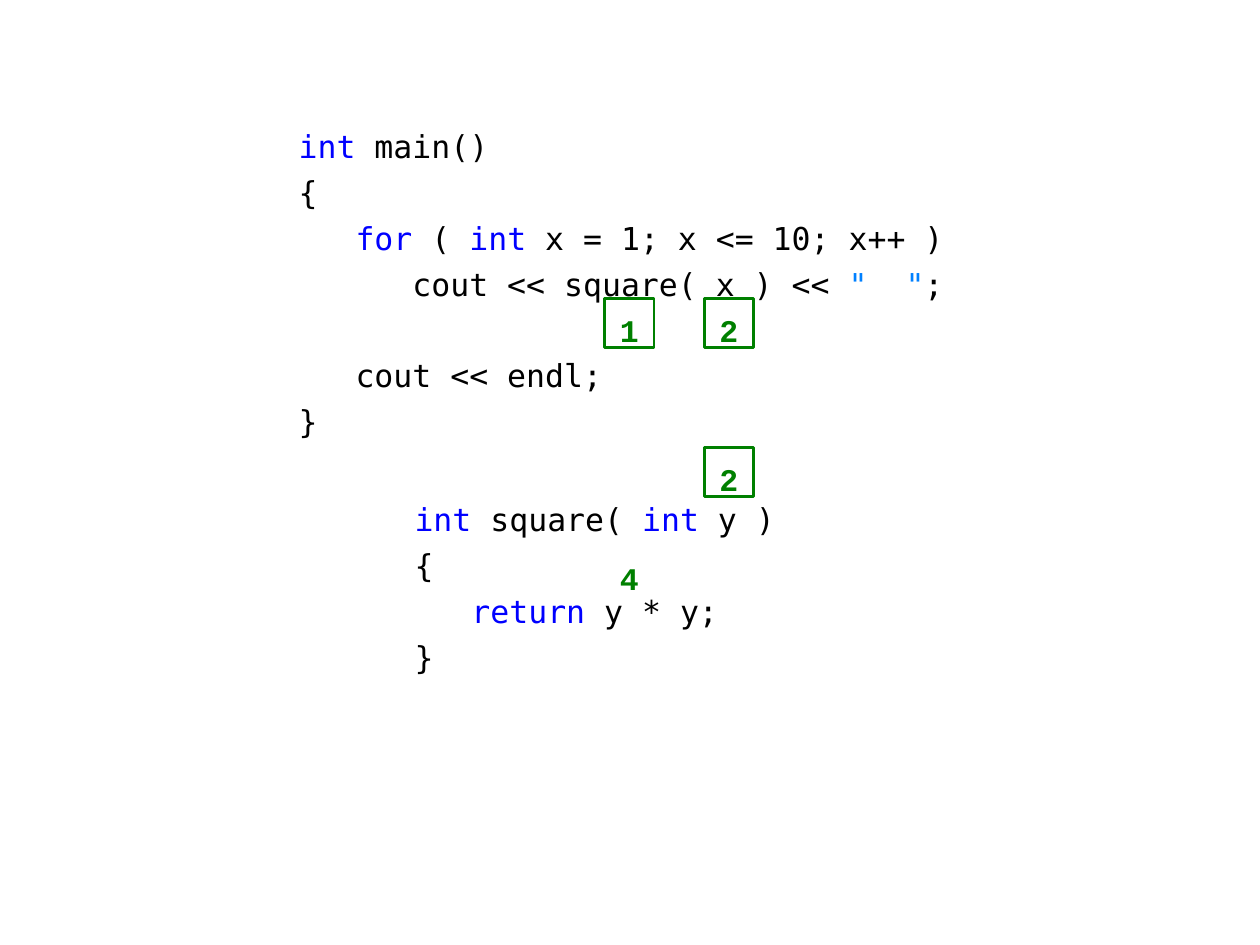
from pptx import Presentation
from pptx.dml.color import RGBColor
from pptx.enum.shapes import MSO_SHAPE
from pptx.enum.text import MSO_ANCHOR, MSO_AUTO_SIZE, PP_ALIGN
from pptx.oxml.ns import qn
from pptx.util import Inches, Pt

COLORS = {"plain": "000000", "keyword": "0000FF", "string": "0080FF", "step": "008000"}
CODE_FONT = {"name": "DejaVu Sans Mono", "size": Pt(18), "bold": False}
STEP_FONT = {"name": "Courier New", "size": Pt(18), "bold": True}
LINE_GAP, BLANK_LINE_GAP = 4.7, 30
STEP_SIZE = 0.39

MAIN_CODE = [
    (0, [("int", "keyword"), (" main()", "plain")]),
    (LINE_GAP, [("{", "plain")]),
    (LINE_GAP, [("   ", "plain"), ("for", "keyword"), (" ( ", "plain"),
                ("int", "keyword"), (" x = 1; x <= 10; x++ )", "plain")]),
    (LINE_GAP, [("      cout << square( x ) << ", "plain"),
                ('"  "', "string"), (";", "plain")]),
    (BLANK_LINE_GAP, [("   cout << endl;", "plain")]),
    (LINE_GAP, [("}", "plain")]),
]
SQUARE_CODE = [
    (0, [("int", "keyword"), (" square( ", "plain"),
         ("int", "keyword"), (" y )", "plain")]),
    (LINE_GAP, [("{", "plain")]),
    (LINE_GAP, [("   ", "plain"), ("return", "keyword"), (" y * y;", "plain")]),
    (LINE_GAP, [("}", "plain")]),
]
STEPS = [("4", 4.8, 4.34, False), ("1", 4.8, 2.37, True),
         ("2", 5.59, 2.37, True), ("2", 5.59, 3.55, True)]


def set_all(target, values):
    """Set every attribute in a dict of format values."""
    for name, value in values.items():
        setattr(target, name, value)


def add_span(para, text, color, font):
    """Append one coloured run to a paragraph."""
    span = para.add_run()
    span.text = text
    set_all(span.font, font)
    span.font.color.rgb = RGBColor.from_string(COLORS[color])


def set_frame(frame, anchor, wrap, insets):
    """Set anchor, wrapping and the left, top, right and bottom insets."""
    sides = ("margin_left", "margin_top", "margin_right", "margin_bottom")
    set_all(frame, dict(zip(sides, map(Inches, insets))))
    set_all(frame, {"vertical_anchor": anchor, "word_wrap": wrap,
                    "auto_size": MSO_AUTO_SIZE.NONE})


def fill_listing(holder, box, left_inset, lines):
    """Place a placeholder in its box and fill it with coloured code."""
    set_all(holder, dict(zip(("left", "top", "width", "height"), map(Inches, box))))
    frame = holder.text_frame
    set_frame(frame, MSO_ANCHOR.TOP, True, (left_inset, 0.02, 0.1, 0))
    for number, (gap, spans) in enumerate(lines):
        para = frame.add_paragraph() if number else frame.paragraphs[0]
        properties = para._p.get_or_add_pPr()
        properties.set("marL", "0")
        properties.set("indent", "0")
        properties.append(properties.makeelement(qn("a:buNone"), {}))
        set_all(para, {"space_before": Pt(gap), "line_spacing": 1.0,
                       "alignment": PP_ALIGN.LEFT})
        for text, color in spans:
            add_span(para, text, color, CODE_FONT)


def add_step(page, text, left, top, framed):
    """Add a green step value, with or without a square around it."""
    box = [Inches(length) for length in (left, top, STEP_SIZE, STEP_SIZE)]
    if framed:
        step = page.shapes.add_shape(MSO_SHAPE.RECTANGLE, *box)
        step.shadow.inherit = False
        step.fill.background()
        step.line.color.rgb = RGBColor.from_string(COLORS["step"])
        step.line.width = Pt(1.5)
    else:
        step = page.shapes.add_textbox(*box)
    set_frame(step.text_frame, MSO_ANCHOR.MIDDLE, False, (0.1, 0.11, 0.1, 0))
    para = step.text_frame.paragraphs[0]
    para.alignment = PP_ALIGN.CENTER
    add_span(para, text, "step", STEP_FONT)


def main():
    """Build the slide that traces a call of square."""
    deck = Presentation()
    set_all(deck, {"slide_width": Inches(10), "slide_height": Inches(7.5)})
    page = deck.slides.add_slide(deck.slide_layouts[3])
    title = page.shapes.title
    title.element.getparent().remove(title.element)
    fill_listing(page.placeholders[1], (2.24, 0.99, 5.51, 2.56), 0.13, MAIN_CODE)
    fill_listing(page.placeholders[2], (3.23, 3.95, 3.15, 1.58), 0.06, SQUARE_CODE)
    for step in STEPS:
        add_step(page, *step)
    deck.save("out.pptx")


if __name__ == "__main__":
    main()
